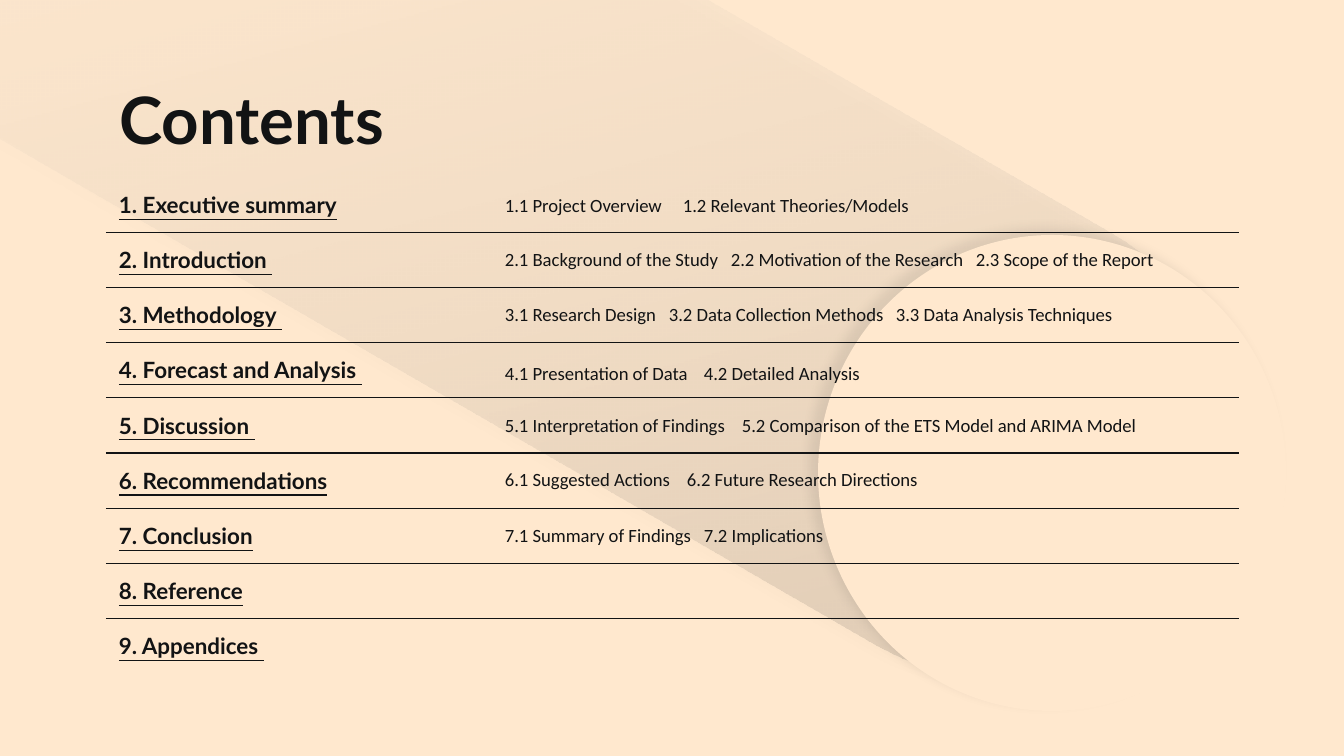
import pptx
import pptx.util
import pptx.oxml
import pptx.oxml.ns
import pptx.dml.color
import pptx.enum.text
import pptx.enum.shapes

PX = 914400 / 134.4
INK = pptx.dml.color.RGBColor(0x12, 0x13, 0x14)
SAND = pptx.dml.color.RGBColor(0xFF, 0xE8, 0xCE)
WHITE = pptx.dml.color.RGBColor(0xFF, 0xFF, 0xFF)
DARK = pptx.dml.color.RGBColor(0x19, 0x19, 0x19)
NS = pptx.oxml.ns.nsdecls("a")
PLAIN = "{2D5ABB26-0587-4C30-8999-92F81FD0307C}"

TITLE = "Contents"
ROWS = [
    ("1. Executive summary", ["1.1 Project Overview", "1.2 Relevant Theories/Models"], [178], 2),
    ("2. Introduction ", ["2.1 Background of the Study", "2.2 Motivation of the Research",
                          "2.3 Scope of the Report"], [226, 471], 0),
    ("3. Methodology ", ["3.1 Research Design", "3.2 Data Collection Methods",
                         "3.3 Data Analysis Techniques"], [164, 391], 0),
    ("4. Forecast and Analysis ", ["4.1 Presentation of Data", "4.2 Detailed Analysis"], [199], 4),
    ("5. Discussion ", ["5.1 Interpretation of Findings",
                        "5.2 Comparison of the ETS Model and ARIMA Model"], [237], 1),
    ("6. Recommendations", ["6.1 Suggested Actions", "6.2 Future Research Directions"], [182], 0),
    ("7. Conclusion", ["7.1 Summary of Findings", "7.2 Implications"], [199], 0),
    ("8. Reference", [], [], 0),
    ("9. Appendices ", [], [], 0),
]
TABLE = (106, 177, 1133, 497)
COLS = (386, 747)


def emu(px):
    return pptx.util.Emu(round(px * PX))


def box(dims):
    return [emu(n) for n in dims]


def write(para, text, face, size, bold=False, under=False):
    run = para.add_run()
    run.text = text
    font = run.font
    font.name, font.size = face, pptx.util.Pt(size)
    font.bold, font.underline = bold, under
    font.color.rgb = INK


def shade(shape, alpha, blur, dist, angle):
    shape._element.spPr.append(pptx.oxml.parse_xml(
        f'<a:effectLst {NS}><a:outerShdw blurRad="{round(blur * 12700)}" '
        f'dist="{round(dist * 12700)}" dir="{angle * 60000}" algn="bl" rotWithShape="0">'
        f'<a:srgbClr val="{INK}"><a:alpha val="{alpha * 1000}"/></a:srgbClr>'
        f'</a:outerShdw></a:effectLst>'))


def flip(kind, dims, turn):
    shape = slide.shapes.add_shape(kind, *box(dims))
    shape.rotation = turn
    shape._element.spPr.xfrm.set("flipH", "1")
    shape.line.fill.background()
    return shape


def fade(shape):
    spot = shape._element.spPr.find(pptx.oxml.ns.qn("a:prstGeom"))
    spot.addnext(pptx.oxml.parse_xml(
        f'<a:gradFill {NS} rotWithShape="1"><a:gsLst>'
        f'<a:gs pos="0"><a:srgbClr val="{WHITE}"><a:alpha val="0"/></a:srgbClr></a:gs>'
        f'<a:gs pos="100000"><a:srgbClr val="{DARK}"><a:alpha val="15000"/></a:srgbClr></a:gs>'
        f'</a:gsLst><a:lin ang="{315 * 60000}" scaled="0"/></a:gradFill>'))


def rule(cell, side):
    cell._tc.get_or_add_tcPr().insert(0, pptx.oxml.parse_xml(
        f'<a:{side} {NS} w="9525"><a:solidFill><a:srgbClr val="{INK}"/></a:solidFill></a:{side}>'))


def tabs(para, stops):
    marks = "".join(f'<a:tab pos="{emu(n)}" algn="l"/>' for n in stops)
    para._p.get_or_add_pPr().append(pptx.oxml.parse_xml(f"<a:tabLst {NS}>{marks}</a:tabLst>"))


deck = pptx.Presentation()
deck.slide_width, deck.slide_height = emu(1344), emu(756)
slide = deck.slides.add_slide(deck.slide_layouts[5])
slide.background.fill.solid()
slide.background.fill.fore_color.rgb = SAND

kinds = pptx.enum.shapes.MSO_SHAPE
beam = flip(kinds.ROUNDED_RECTANGLE, (-243, -66, 1546, 474), 210)
beam.adjustments[0] = 0.5
fade(beam)
shade(beam, 10, 5.6, 4.5, 116)
disc = flip(kinds.OVAL, (818, 235, 468, 476), 180)
disc.fill.solid()
disc.fill.fore_color.rgb = SAND
shade(disc, 7, 5.6, 6, 217)

title = slide.shapes.title
slide.shapes._spTree.append(title._element)
title.left, title.top, title.width, title.height = box((106, 66, 1133, 85))
frame = title.text_frame
frame.auto_size = pptx.enum.text.MSO_AUTO_SIZE.NONE
frame.vertical_anchor = pptx.enum.text.MSO_ANCHOR.TOP
frame.margin_left = frame.margin_right = frame.margin_top = frame.margin_bottom = emu(13)
frame.paragraphs[0].alignment = pptx.enum.text.PP_ALIGN.LEFT
write(frame.paragraphs[0], TITLE, "Lato", 35, bold=True)

table = slide.shapes.add_table(len(ROWS), len(COLS), *box(TABLE)).table
table.first_row = table.horz_banding = False
table._tbl.tblPr.find(pptx.oxml.ns.qn("a:tableStyleId")).text = PLAIN
for col, width in zip(table.columns, COLS):
    col.width = emu(width)
for i, (head, parts, stops, drop) in enumerate(ROWS):
    table.rows[i].height = emu(TABLE[3] / len(ROWS))
    left, right = table.rows[i].cells
    for cell in (left, right):
        cell.fill.background()
        cell.vertical_anchor = pptx.enum.text.MSO_ANCHOR.MIDDLE
        cell.margin_left = cell.margin_right = emu(13)
        cell.margin_top = cell.margin_bottom = 0
        if i < len(ROWS) - 1:
            rule(cell, "lnB")
        if i:
            rule(cell, "lnT")
    write(left.text_frame.paragraphs[0], head, "Lato", 12, bold=True, under=True)
    if parts:
        right.margin_top = emu(2 * drop)
        para = right.text_frame.paragraphs[0]
        tabs(para, stops)
        write(para, "\t".join(parts), "Calibri", 10)

deck.save("out.pptx")
